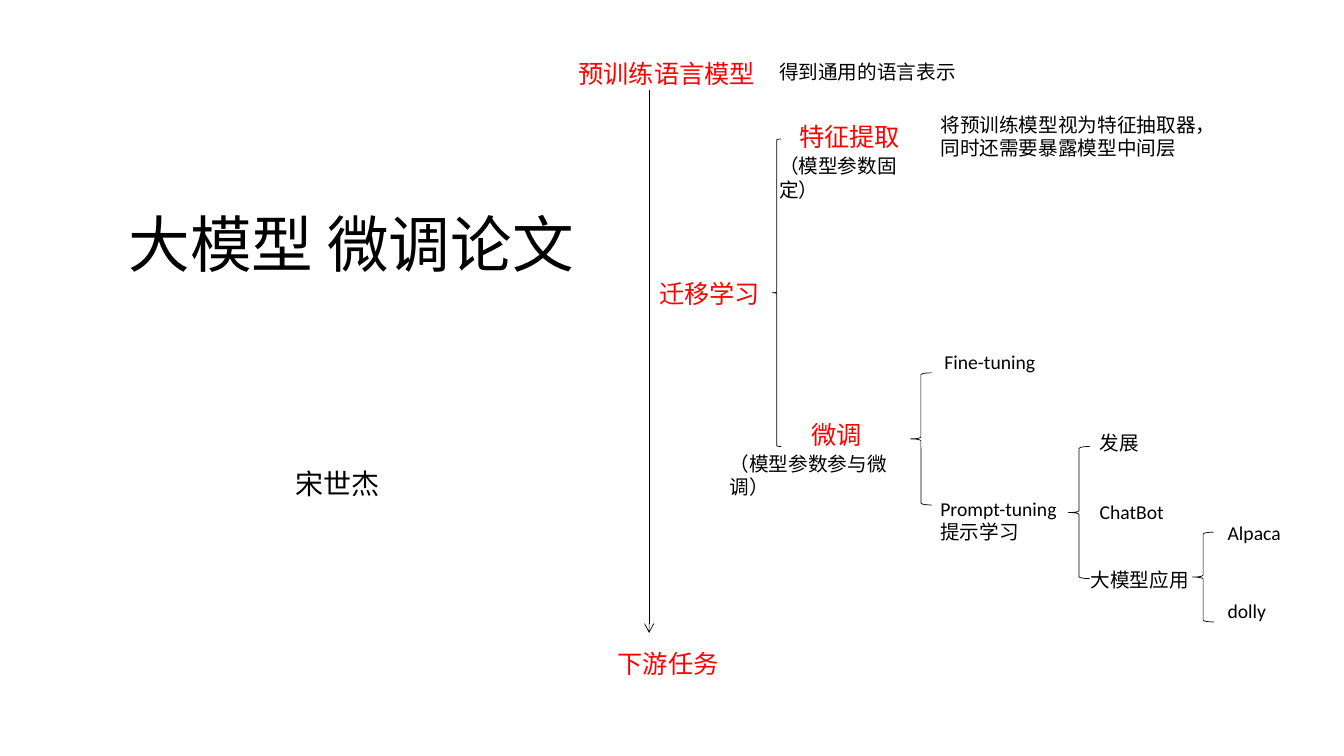
from dataclasses import dataclass

from pptx import Presentation
from pptx.dml.color import RGBColor
from pptx.enum.shapes import MSO_CONNECTOR, MSO_SHAPE
from pptx.enum.text import MSO_ANCHOR, MSO_AUTO_SIZE, PP_ALIGN
from pptx.oxml.ns import qn
from pptx.util import Inches, Pt
from lxml.etree import SubElement


@dataclass(frozen=True)
class Theme:
    font: str = "Calibri"
    ink: RGBColor = RGBColor(0x00, 0x00, 0x00)
    accent: RGBColor = RGBColor(0xFF, 0x00, 0x00)
    title: int = 44
    author: int = 20
    stage: int = 18
    note: int = 14
    line: float = 0.5


THEME = Theme()

# Every box is (left, top, width, height) in percent of the slide.
TITLE = ("大模型 微调论文", (0, 21.87, 52.28, 16))
AUTHOR = ("宋世杰", (5.78, 61.87, 38.7, 10.13))

STAGE_HEIGHT = 5.33
STAGES = [
    ("预训练语言模型", 42.3, 7.07, 16.5),
    ("迁移学习", 48.3, 36.13, 9.82),
    ("特征提取", 58.72, 15.33, 9.82),
    ("微调", 59.62, 54.8, 6.67),
    ("下游任务", 45.22, 85.07, 9.6),
]

REMARKS = [
    ("得到通用的语言表示", (57.23, 7.33, 21.08, 4.53)),
    ("将预训练模型视为特征抽取器，同时还需要暴露模型中间层", (69.23, 14.27, 21.08, 7.6)),
]
LEAVES = [
    ("（模型参数固定）", (57.23, 19.73, 12.45, 4.53)),
    ("（模型参数参与微调）", (53.55, 59.07, 15.98, 4.93)),
    ("Fine-tuning", (69.53, 45.6, 8.63, 3.73)),
    ("Prompt-tuning\n提示学习", (69.23, 65.07, 11.1, 8)),
    ("发展", (81.08, 56.4, 4.95, 3.73)),
    ("ChatBot", (81.08, 65.47, 7.2, 4.13)),
    ("大模型应用", (80.4, 74.4, 9.22, 3.87)),
    ("Alpaca", (90.6, 68.27, 6.6, 3.73)),
    ("dolly", (90.6, 78.53, 4.95, 3.73)),
]

BRACES = [
    (57.45, 18.4, 0.68, 40.67),
    (67.73, 49.33, 1.58, 17.47),
    (79.5, 59.07, 1.58, 17.47),
    (88.73, 70.4, 1.58, 11.87),
]
FLOW = (48.3, 11.87, 48.3, 83.73)

presentation = Presentation()
presentation.slide_width = Inches(13.33)
presentation.slide_height = Inches(7.5)
slide = presentation.slides.add_slide(presentation.slide_layouts[6])


def place(box):
    """Turn percent pairs (x, y, x, y) into slide lengths."""
    sides = (presentation.slide_width, presentation.slide_height) * 2
    return [round(side * share / 100) for side, share in zip(sides, box)]


def add_text(text, box, size=THEME.note, color=THEME.ink, align=PP_ALIGN.LEFT,
             anchor=MSO_ANCHOR.TOP, spacing=None, grow=False):
    frame = slide.shapes.add_textbox(*place(box)).text_frame
    frame.word_wrap = True
    frame.auto_size = MSO_AUTO_SIZE.SHAPE_TO_FIT_TEXT if grow else MSO_AUTO_SIZE.NONE
    frame.vertical_anchor = anchor
    frame.text = text
    for paragraph in frame.paragraphs:
        paragraph.alignment = align
        paragraph.line_spacing = spacing
        for run in paragraph.runs:
            run.font.name = THEME.font
            run.font.size = Pt(size)
            run.font.color.rgb = color


def style_line(line):
    line.color.rgb = THEME.ink
    line.width = Pt(THEME.line)


def add_brace(box):
    brace = slide.shapes.add_shape(MSO_SHAPE.LEFT_BRACE, *place(box))
    brace.shadow.inherit = False
    brace.fill.background()
    style_line(brace.line)


def add_arrow(ends):
    arrow = slide.shapes.add_connector(MSO_CONNECTOR.STRAIGHT, *place(ends))
    style_line(arrow.line)
    SubElement(arrow.line._get_or_add_ln(), qn("a:tailEnd"), type="arrow")
    SubElement(arrow._element.spPr, qn("a:effectLst"))


add_text(*TITLE, size=THEME.title, align=PP_ALIGN.CENTER,
         anchor=MSO_ANCHOR.BOTTOM, spacing=0.9)
add_text(*AUTHOR, size=THEME.author, align=PP_ALIGN.CENTER, spacing=0.8)
add_arrow(FLOW)
for name, left, top, width in STAGES:
    add_text(name, (left, top, width, STAGE_HEIGHT), size=THEME.stage,
             color=THEME.accent, grow=True)
for brace_box in BRACES:
    add_brace(brace_box)
for remark, remark_box in REMARKS:
    add_text(remark, remark_box, grow=True)
for leaf, leaf_box in LEAVES:
    add_text(leaf, leaf_box)

presentation.save("out.pptx")
